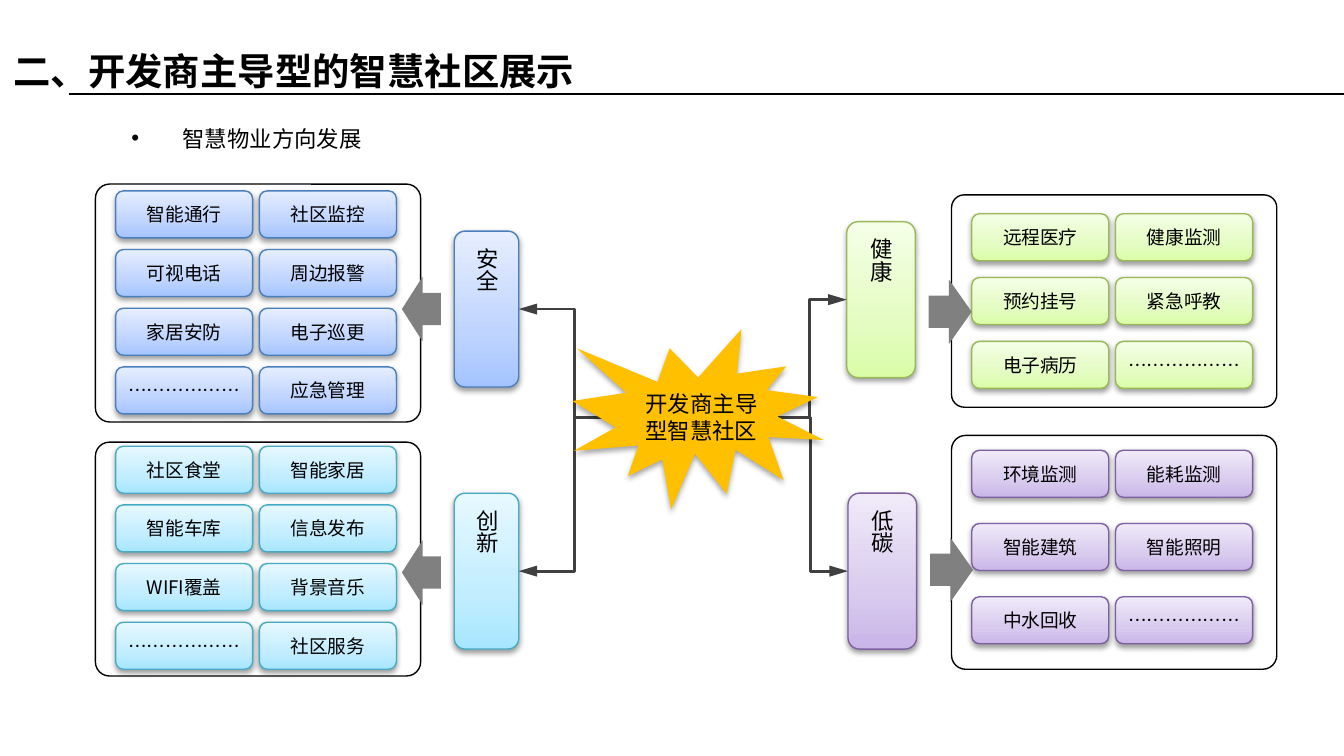
from dataclasses import dataclass

from lxml import etree
from pptx import Presentation
from pptx.dml.color import RGBColor
from pptx.enum.shapes import MSO_CONNECTOR, MSO_SHAPE
from pptx.enum.text import MSO_ANCHOR, PP_ALIGN
from pptx.oxml import parse_xml
from pptx.oxml.ns import nsdecls, qn
from pptx.util import Inches, Pt

ROUNDED = MSO_SHAPE.ROUNDED_RECTANGLE
LEFT_ARROW, RIGHT_ARROW = MSO_SHAPE.LEFT_ARROW, MSO_SHAPE.RIGHT_ARROW
STAR = MSO_SHAPE.EXPLOSION1
STRAIGHT, ELBOW = MSO_CONNECTOR.STRAIGHT, MSO_CONNECTOR.ELBOW
MIDDLE = MSO_ANCHOR.MIDDLE
CENTER, LEFT = PP_ALIGN.CENTER, PP_ALIGN.LEFT

BLACK = RGBColor(0, 0, 0)
DARK_GRAY = RGBColor(0x40, 0x40, 0x40)
GRAY = RGBColor(0x80, 0x80, 0x80)
GOLD = RGBColor(0xFF, 0xC0, 0x00)
FONT = "Noto Sans CJK SC"
DOTS = "………………"

# Slide of 16 to 9, and the grid of the item buttons
SLIDE_WIDTH = Inches(10)
SLIDE_HEIGHT = SLIDE_WIDTH * 9 // 16
ITEM_WIDTH, ITEM_HEIGHT, COLUMN_PITCH = 1.02, 0.35, 1.07
PANEL_WIDTH, TAG_HEIGHT, ARROW_HEIGHT = 2.42, 1.16, 0.48


@dataclass(frozen=True)
class Box:
    left: float
    top: float
    width: float
    height: float


@dataclass(frozen=True)
class Theme:
    dark: RGBColor
    middle: RGBColor
    light: RGBColor
    line: RGBColor


@dataclass(frozen=True)
class Topic:
    name: str
    theme: Theme
    on_left: bool
    tag: Box
    panel: Box
    arrow: Box
    items_left: float
    first_row: float
    last_row: float
    rows: tuple


def theme(*colors: str) -> Theme:
    return Theme(*(RGBColor.from_string(color) for color in colors))


TOPICS = (
    Topic("安全", theme("A4C4FF", "BFD4FF", "E6EEFF", "4B7EBC"), True,
          Box(3.38, 1.72, 0.48, TAG_HEIGHT), Box(0.71, 1.37, PANEL_WIDTH, 1.77),
          Box(2.99, 2.06, 0.29, ARROW_HEIGHT), 0.86, 1.42, 2.73,
          (("智能通行", "社区监控"), ("可视电话", "周边报警"),
           ("家居安防", "电子巡更"), (DOTS, "应急管理"))),
    Topic("健康", theme("DAFDA7", "E4FCC2", "F5FFE7", "98B955"), False,
          Box(6.3, 1.65, 0.51, TAG_HEIGHT), Box(7.08, 1.45, PANEL_WIDTH, 1.58),
          Box(6.91, 2.08, 0.32, ARROW_HEIGHT), 7.23, 1.59, 2.54,
          (("远程医疗", "健康监测"), ("预约挂号", "紧急呼教"), ("电子病历", DOTS))),
    Topic("创新", theme("A7E6FF", "C1EDFF", "E7F8FF", "46AAC5"), True,
          Box(3.38, 3.67, 0.48, TAG_HEIGHT), Box(0.71, 3.29, PANEL_WIDTH, 1.74),
          Box(2.99, 4.02, 0.29, ARROW_HEIGHT), 0.86, 3.32, 4.63,
          (("社区食堂", "智能家居"), ("智能车库", "信息发布"),
           ("WIFI覆盖", "背景音乐"), (DOTS, "社区服务"))),
    Topic("低碳", theme("C9B5E8", "D8CBEE", "F0EAF9", "7D60A0"), False,
          Box(6.31, 3.67, 0.51, TAG_HEIGHT), Box(7.08, 3.24, PANEL_WIDTH, 1.74),
          Box(6.92, 4, 0.32, ARROW_HEIGHT), 7.23, 3.35, 4.44,
          (("环境监测", "能耗监测"), ("智能建筑", "智能照明"), ("中水回收", DOTS))),
)


def add_box(slide, kind: int, box: Box):
    """Add a preset shape without fill, line or shadow."""
    shape = slide.shapes.add_shape(kind, Inches(box.left), Inches(box.top),
                                   Inches(box.width), Inches(box.height))
    shape.shadow.inherit = False
    shape.fill.background()
    shape.line.fill.background()
    return shape


def add_shadow(shape, opacity: int, distance: float) -> None:
    effects = shape._element.spPr.find(qn("a:effectLst"))
    effects.append(parse_xml(
        f'<a:outerShdw {nsdecls("a")} blurRad="{Pt(3.1)}" dist="{Pt(distance)}" '
        f'dir="5400000" rotWithShape="0"><a:srgbClr val="000000">'
        f'<a:alpha val="{opacity * 1000}"/></a:srgbClr></a:outerShdw>'))


def fill_gradient(shape, colors: Theme) -> None:
    stops = "".join(
        f'<a:gs pos="{position * 1000}"><a:srgbClr val="{color}"/></a:gs>'
        for position, color in ((0, colors.dark), (35, colors.middle), (100, colors.light)))
    properties = shape._element.spPr
    properties.replace(properties.find(qn("a:noFill")), parse_xml(
        f'<a:gradFill {nsdecls("a")} rotWithShape="1"><a:gsLst>{stops}</a:gsLst>'
        f'<a:lin ang="16200000" scaled="0"/></a:gradFill>'))


def set_line(shape, color: RGBColor, width: float) -> None:
    shape.line.color.rgb = color
    shape.line.width = Pt(width)


def format_run(paragraph, size: float, font: str = FONT, bold: bool = False) -> None:
    run = paragraph.runs[0]
    run.font.size, run.font.name, run.font.bold = Pt(size), font, bold
    run.font.color.rgb = BLACK
    etree.SubElement(run._r.get_or_add_rPr(), qn("a:ea")).set("typeface", FONT)


def write_label(shape, text: str, size: float) -> None:
    frame = shape.text_frame
    frame.text = text
    frame.word_wrap = True
    frame.vertical_anchor = MIDDLE
    frame.margin_left = frame.margin_right = Inches(0.04)
    frame.margin_top = frame.margin_bottom = Inches(0.05)
    frame.paragraphs[0].alignment = CENTER
    format_run(frame.paragraphs[0], size)


def add_button(slide, box: Box, text: str, size: float, colors: Theme):
    shape = add_box(slide, ROUNDED, box)
    fill_gradient(shape, colors)
    set_line(shape, colors.line, 0.75)
    add_shadow(shape, 38, 1.6)
    write_label(shape, text, size)
    return shape


def add_line(slide, kind: int, start: tuple, end: tuple, color: RGBColor, width: float):
    line = slide.shapes.add_connector(kind, *(Inches(value) for value in start + end))
    set_line(line, color, width)
    etree.SubElement(line._element.spPr, qn("a:effectLst"))
    return line


def add_branch(slide, topic: Topic, center: Box, tag):
    """Join the centre to a tag with an elbow arrow."""
    start_x = center.left if topic.on_left else center.left + center.width
    end_x = topic.tag.left + (topic.tag.width if topic.on_left else 0)
    branch = add_line(slide, ELBOW, (start_x, center.top + center.height / 2),
                      (end_x, topic.tag.top + TAG_HEIGHT / 2), DARK_GRAY, 1.5)
    branch.end_connect(tag, 3 if topic.on_left else 1)
    arrowhead = etree.SubElement(branch._element.spPr.find(qn("a:ln")), qn("a:tailEnd"))
    arrowhead.set("type", "triangle")
    arrowhead.set("len", "lg")
    return branch


def add_panel(slide, topic: Topic) -> None:
    panel = add_box(slide, ROUNDED, topic.panel)
    panel.adjustments[0] = 0.06
    set_line(panel, BLACK, 0.75)
    row_pitch = (topic.last_row - topic.first_row) / (len(topic.rows) - 1)
    for row, names in enumerate(topic.rows):
        for column, name in enumerate(names):
            box = Box(topic.items_left + column * COLUMN_PITCH,
                      topic.first_row + row * row_pitch, ITEM_WIDTH, ITEM_HEIGHT)
            add_button(slide, box, name, 10, topic.theme)
    arrow = add_box(slide, LEFT_ARROW if topic.on_left else RIGHT_ARROW, topic.arrow)
    arrow.adjustments[1] = 0.53
    arrow.fill.solid()
    arrow.fill.fore_color.rgb = GRAY


def add_heading(slide) -> None:
    title = slide.shapes.title
    title.left, title.top, title.width, title.height = (
        Inches(value) for value in (0, 0.22, 9, 0.45))
    title.text_frame.text = "二、开发商主导型的智慧社区展示"
    title.text_frame.vertical_anchor = MIDDLE
    paragraph = title.text_frame.paragraphs[0]
    paragraph.alignment, paragraph.line_spacing = LEFT, 1.5
    format_run(paragraph, 20, bold=True)


def add_subtitle(slide) -> None:
    text_box = slide.shapes.add_textbox(Inches(0.88), Inches(0.78), Inches(9.12), Inches(0.4))
    frame = text_box.text_frame
    frame.word_wrap = True
    frame.text = "智慧物业方向发展"
    paragraph = frame.paragraphs[0]
    paragraph.line_spacing = 1.5
    properties = paragraph._p.get_or_add_pPr()
    properties.set("marL", str(Inches(0.38)))
    properties.set("indent", str(-Inches(0.38)))
    etree.SubElement(properties, qn("a:buFont")).set("typeface", "Arial")
    etree.SubElement(properties, qn("a:buChar")).set("char", "•")
    format_run(paragraph, 12, "Calibri")


def main() -> None:
    presentation = Presentation()
    presentation.slide_width, presentation.slide_height = SLIDE_WIDTH, SLIDE_HEIGHT
    slide = presentation.slides.add_slide(presentation.slide_layouts[5])
    # Heading
    add_heading(slide)
    add_line(slide, STRAIGHT, (0.51, 0.7), (10, 0.7), BLACK, 0.75)
    add_subtitle(slide)
    # Tags and branches, behind the star
    center = Box(4.69, 2.84, 1.06, 0.53)
    branches = []
    for topic in TOPICS:
        tag = add_button(slide, topic.tag, topic.name, 12, topic.theme)
        tag.text_frame._txBody.bodyPr.set("vert", "eaVert")
        branches.append(add_branch(slide, topic, center, tag))
    # Star with the central label
    star = add_box(slide, STAR, Box(4.26, 2.45, 1.87, 1.34))
    star.fill.solid()
    star.fill.fore_color.rgb = GOLD
    add_shadow(star, 35, 1.8)
    label = add_box(slide, ROUNDED, center)
    write_label(label, "开发商主导型智慧社区", 12)
    for topic, branch in zip(TOPICS, branches):
        branch.begin_connect(label, 1 if topic.on_left else 3)
    # Panels of items
    for topic in TOPICS:
        add_panel(slide, topic)
    presentation.save("out.pptx")


if __name__ == "__main__":
    main()
